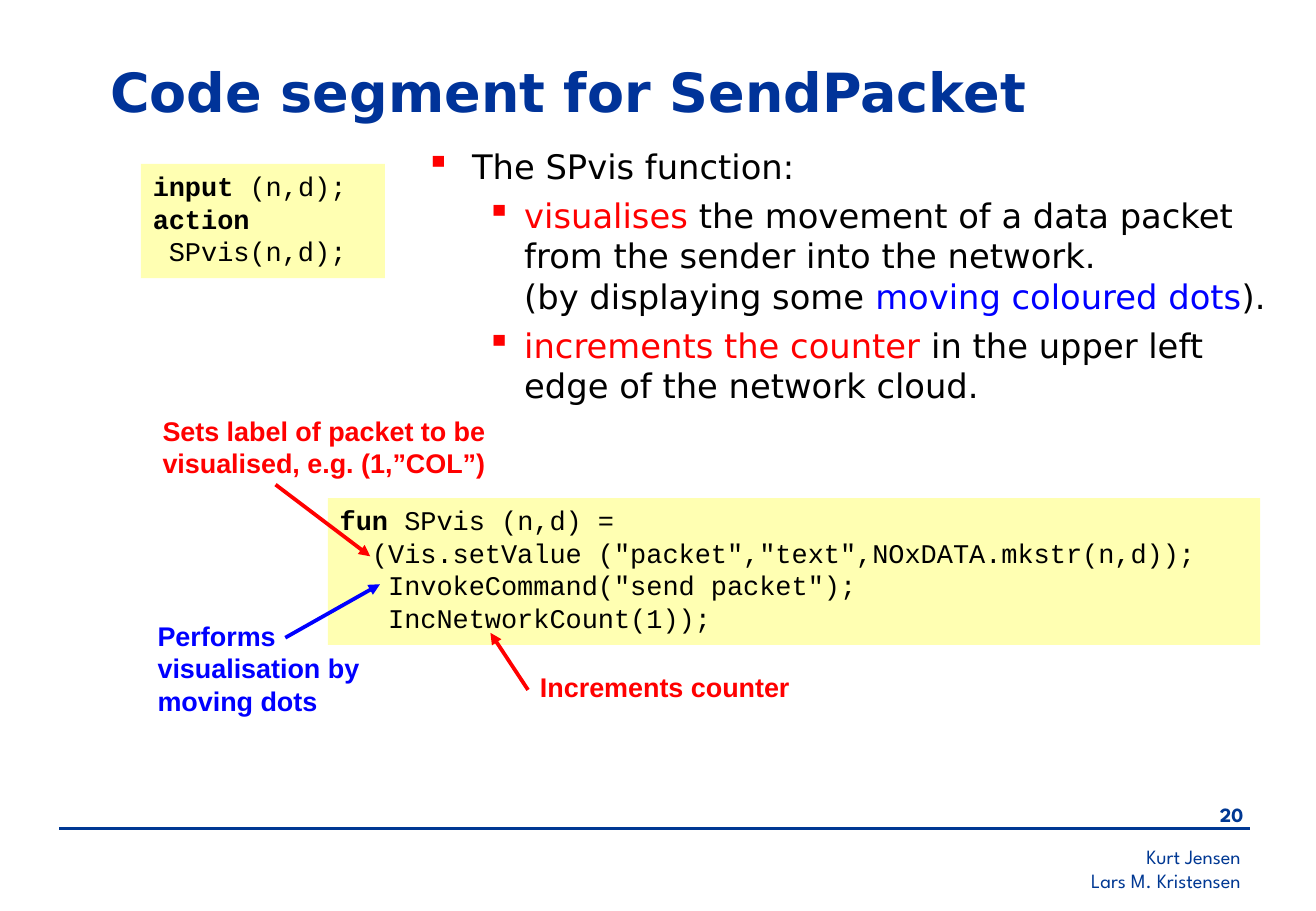
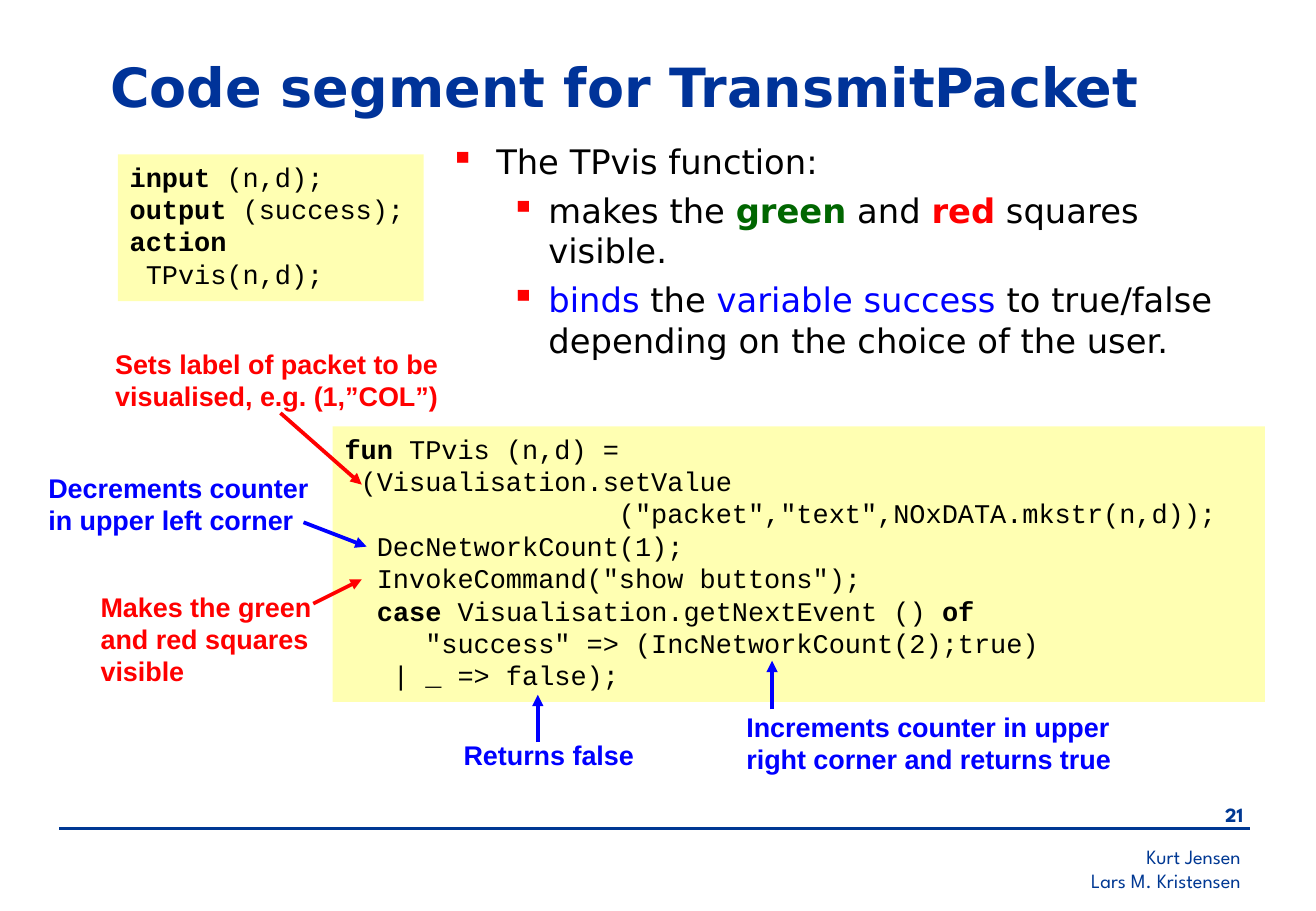
from lxml import etree
from pptx import Presentation
from pptx.dml.color import RGBColor
from pptx.enum.shapes import MSO_CONNECTOR, MSO_SHAPE
from pptx.enum.text import MSO_ANCHOR, PP_ALIGN
from pptx.oxml.ns import qn
from pptx.util import Inches, Pt

LEFT, RIGHT = PP_ALIGN.LEFT, PP_ALIGN.RIGHT
TOP, MIDDLE = MSO_ANCHOR.TOP, MSO_ANCHOR.MIDDLE
RECTANGLE = MSO_SHAPE.RECTANGLE
STRAIGHT = MSO_CONNECTOR.STRAIGHT

BLACK, RED, BLUE, GREEN = "000000", "FF0000", "0000FF", "006600"
FOOTER_BLUE, TITLE_BLUE, CODE_YELLOW = "003893", "003399", "FFFF66"

TITLE = {"name": "DejaVu Sans", "size": Pt(32), "bold": True, "color": TITLE_BLUE}
BODY = {"name": "DejaVu Sans", "size": Pt(20), "bold": False, "color": BLACK}
CODE = {"name": "Courier New", "size": Pt(16), "bold": False, "color": BLACK}
LABEL = {"name": "Arial", "size": Pt(16), "bold": True}
FOOTER = {"name": "League Spartan", "size": Pt(12), "bold": False, "color": FOOTER_BLUE}

AUTHORS = ["Kurt Jensen", "Lars M. Kristensen"]
PACKET_LABEL = "Sets label of packet to be visualised, e.g. (1,”COL”)"
RED_TEXT, BLUE_TEXT = {"color": RED}, {"color": BLUE}
BOLD_MARK = "**"
BULLET_INDENTS = [(0.38, -0.38), (0.81, -0.31)]


def rgb(value):
    """Turn a hex string into a colour."""
    return RGBColor.from_string(value)


def add_run(paragraph, text, style):
    """Add a run whose font takes the values of a style."""
    run = paragraph.add_run()
    run.text = text
    for key, value in style.items():
        if key == "color":
            run.font.color.rgb = rgb(value)
        else:
            setattr(run.font, key, value)


def add_paragraphs(frame, count):
    """Return the first paragraph of a frame and those added to reach count."""
    return [frame.paragraphs[0]] + [frame.add_paragraph() for _ in range(count - 1)]


def add_box(slide, place):
    """Add a wrapping text box and return its frame."""
    frame = slide.shapes.add_textbox(*map(Inches, place)).text_frame
    frame.word_wrap = True
    return frame


def add_text(slide, place, lines, style, align=LEFT, anchor=TOP):
    """Add a text box with one paragraph per line."""
    frame = add_box(slide, place)
    frame.vertical_anchor = anchor
    for paragraph, line in zip(add_paragraphs(frame, len(lines)), lines):
        paragraph.alignment = align
        add_run(paragraph, line, style)


def add_label(slide, place, text, color):
    """Add a bold coloured explanation."""
    add_text(slide, place, [text], LABEL | {"color": color})


def add_line(slide, start, end, color, width):
    """Add a straight line without shadow and return it."""
    line = slide.shapes.add_connector(STRAIGHT, *map(Inches, start + end))
    line.line.color.rgb = rgb(color)
    line.line.width = Pt(width)
    etree.SubElement(line._element.spPr, qn("a:effectLst"))
    return line


def add_arrow(slide, start, end, color):
    """Add an arrow that points at its end."""
    arrow = add_line(slide, start, end, color, 2.25)
    outline = arrow._element.spPr.find(qn("a:ln"))
    etree.SubElement(outline, qn("a:tailEnd"), type="triangle")


def add_code(slide, place, lines):
    """Add a half transparent panel of code with marked keywords in bold."""
    panel = slide.shapes.add_shape(RECTANGLE, *map(Inches, place))
    panel.shadow.inherit = False
    panel.line.fill.background()
    panel.fill.solid()
    panel.fill.fore_color.rgb = rgb(CODE_YELLOW)
    color = panel._element.spPr.find(".//" + qn("a:srgbClr"))
    etree.SubElement(color, qn("a:alpha"), val="50000")
    frame = panel.text_frame
    frame.word_wrap = True
    frame.vertical_anchor = TOP
    for paragraph, line in zip(add_paragraphs(frame, len(lines)), lines):
        paragraph.alignment = LEFT
        for index, part in enumerate(line.split(BOLD_MARK)):
            if part:
                add_run(paragraph, part, CODE | {"bold": index % 2 == 1})


def add_bullet(paragraph, level):
    """Give a paragraph a red square bullet and the indent of its level."""
    margin, indent = BULLET_INDENTS[level]
    paragraph.level = level
    properties = paragraph._p.get_or_add_pPr()
    properties.set("marL", str(Inches(margin)))
    properties.set("indent", str(Inches(indent)))
    color = etree.SubElement(properties, qn("a:buClr"))
    etree.SubElement(color, qn("a:srgbClr"), val=RED)
    etree.SubElement(properties, qn("a:buChar"), char="▪")


def add_bullets(slide, place, heading, items):
    """Add a heading bullet and second level bullets made of styled parts."""
    frame = add_box(slide, place)
    rows = [[(heading, {})]] + items
    for index, paragraph in enumerate(add_paragraphs(frame, len(rows))):
        add_bullet(paragraph, min(index, 1))
        if index:
            paragraph.space_before = Pt(5)
        for text, changes in rows[index]:
            if text == "\n":
                paragraph.add_line_break()
            else:
                add_run(paragraph, text, BODY | changes)


def add_base_slide(presentation, title, title_top, number):
    """Add a slide with its title, rule, number and authors."""
    slide = presentation.slides.add_slide(presentation.slide_layouts[6])
    add_text(slide, (6.95, 6.9, 3.37, 0.5), AUTHORS, FOOTER, RIGHT)
    add_text(slide, (9.63, 6.56, 0.71, 0.33), [str(number)], FOOTER | {"bold": True}, RIGHT)
    add_line(slide, (0.49, 6.82), (10.3, 6.82), FOOTER_BLUE, 1.5)
    add_text(slide, (0.81, title_top, 9.57, 0.69), [title], TITLE, anchor=MIDDLE)
    return slide


def build_send_packet(presentation):
    """Build the slide on the SendPacket code segment."""
    slide = add_base_slide(presentation, "Code segment for SendPacket", 0.4, 20)
    add_code(slide, (1.16, 1.35, 2.01, 0.94), [
        "**input** (n,d);",
        "**action**",
        " SPvis(n,d);",
    ])
    add_code(slide, (2.7, 4.1, 7.68, 1.21), [
        "**fun** SPvis (n,d) =",
        '  (Vis.setValue ("packet","text",NOxDATA.mkstr(n,d));',
        '   InvokeCommand("send packet");',
        "   IncNetworkCount(1));",
    ])
    add_bullets(slide, (3.41, 1.15, 7.21, 2.56), "The SPvis function:", [
        [
            ("visualises", RED_TEXT),
            (" the movement of a data packet from the sender into the network.", {}),
            ("\n", {}),
            ("(by displaying some ", {}),
            ("moving coloured dots", BLUE_TEXT),
            (").", {}),
        ],
        [
            ("increments the counter", RED_TEXT),
            (" in the upper left edge of the network cloud.", {}),
        ],
    ])
    for place, text, color in [
        ((1.24, 3.36, 3.19, 0.64), PACKET_LABEL, RED),
        ((1.2, 5.05, 2.2, 0.9), "Performs visualisation by moving dots", BLUE),
        ((4.35, 5.47, 2.56, 0.37), "Increments counter", RED),
    ]:
        add_label(slide, place, text, color)
    for start, end, color in [
        ((2.27, 3.99), (3.05, 4.58), RED),
        ((2.35, 5.25), (3.13, 4.81), BLUE),
        ((4.35, 5.68), (4.04, 5.21), RED),
    ]:
        add_arrow(slide, start, end, color)


def build_transmit_packet(presentation):
    """Build the slide on the TransmitPacket code segment."""
    slide = add_base_slide(presentation, "Code segment for TransmitPacket", 0.36, 21)
    add_code(slide, (0.97, 1.27, 2.52, 1.21), [
        "**input** (n,d);",
        "**output** (success);",
        "**action**",
        " TPvis(n,d);",
    ])
    add_code(slide, (2.74, 3.51, 7.68, 2.27), [
        "**fun** TPvis (n,d) =",
        " (Visualisation.setValue",
        '                 ("packet","text",NOxDATA.mkstr(n,d));',
        "  DecNetworkCount(1);",
        '  InvokeCommand("show buttons");',
        "  **case** Visualisation.getNextEvent () **of**",
        '     "success" => (IncNetworkCount(2);true)',
        "   | _ => false);",
    ])
    add_bullets(slide, (3.61, 1.11, 6.93, 1.69), "The TPvis function:", [
        [
            ("makes the ", {}),
            ("green", {"color": GREEN, "bold": True}),
            (" and ", {}),
            ("red", {"color": RED, "bold": True}),
            (" squares visible.", {}),
        ],
        [
            ("binds", BLUE_TEXT),
            (" the ", {}),
            ("variable success", BLUE_TEXT),
            (" to true/false depending on the choice of the user.", {}),
        ],
    ])
    for place, text, color in [
        ((0.85, 2.81, 3.19, 0.64), PACKET_LABEL, RED),
        ((0.3, 3.83, 2.36, 0.64), "Decrements counter in upper left corner", BLUE),
        ((0.73, 4.81, 2.01, 0.9), "Makes the green and red squares visible", RED),
        ((3.72, 6.03, 1.73, 0.37), "Returns false", BLUE),
        ((6.05, 5.8, 3.47, 0.64), "Increments counter in upper right corner and returns true", BLUE),
    ]:
        add_label(slide, place, text, color)
    for start, end, color in [
        ((2.31, 3.4), (2.98, 3.99), RED),
        ((2.5, 4.3), (3.02, 4.5), BLUE),
        ((2.58, 4.97), (2.98, 4.77), RED),
        ((4.43, 6.11), (4.43, 5.72), BLUE),
        ((6.36, 5.84), (6.36, 5.44), BLUE),
    ]:
        add_arrow(slide, start, end, color)


def main():
    """Build and save the presentation."""
    presentation = Presentation()
    presentation.slide_width = Inches(10.84)
    presentation.slide_height = Inches(7.5)
    build_send_packet(presentation)
    build_transmit_packet(presentation)
    presentation.save("out.pptx")


if __name__ == "__main__":
    main()
